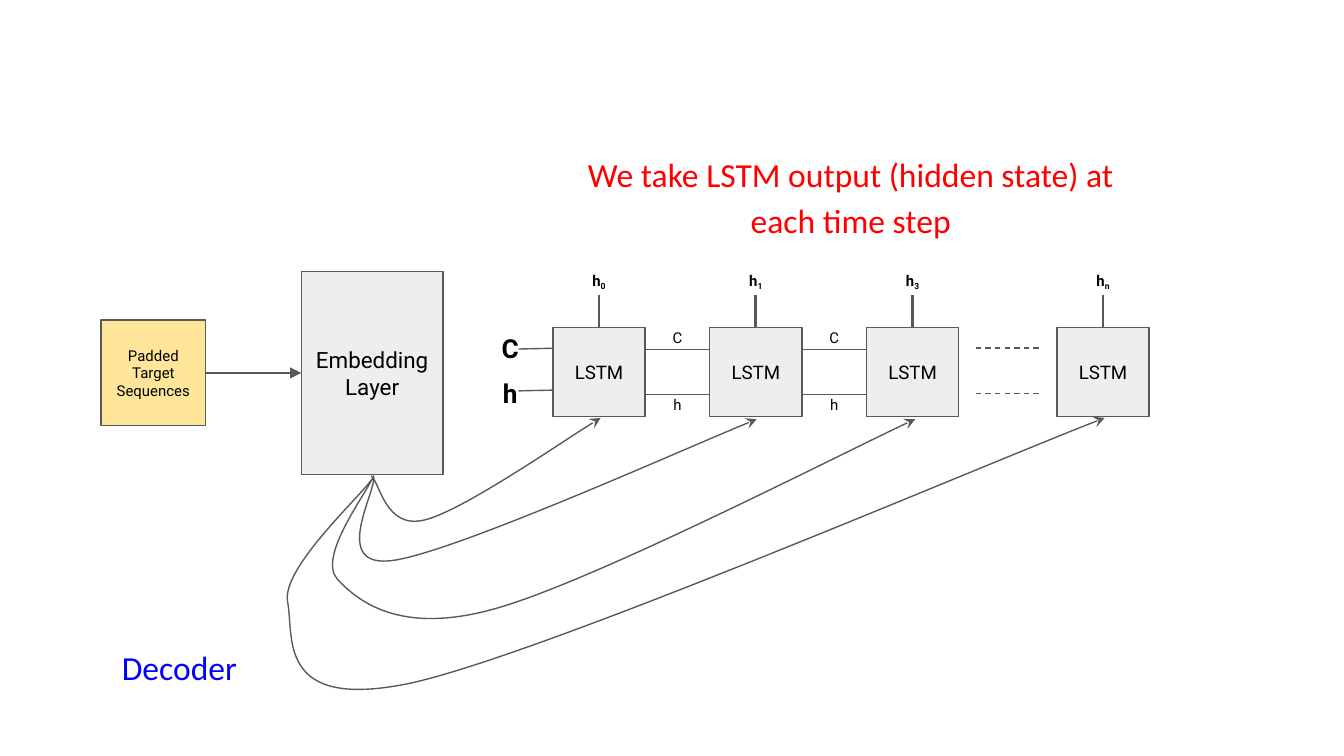
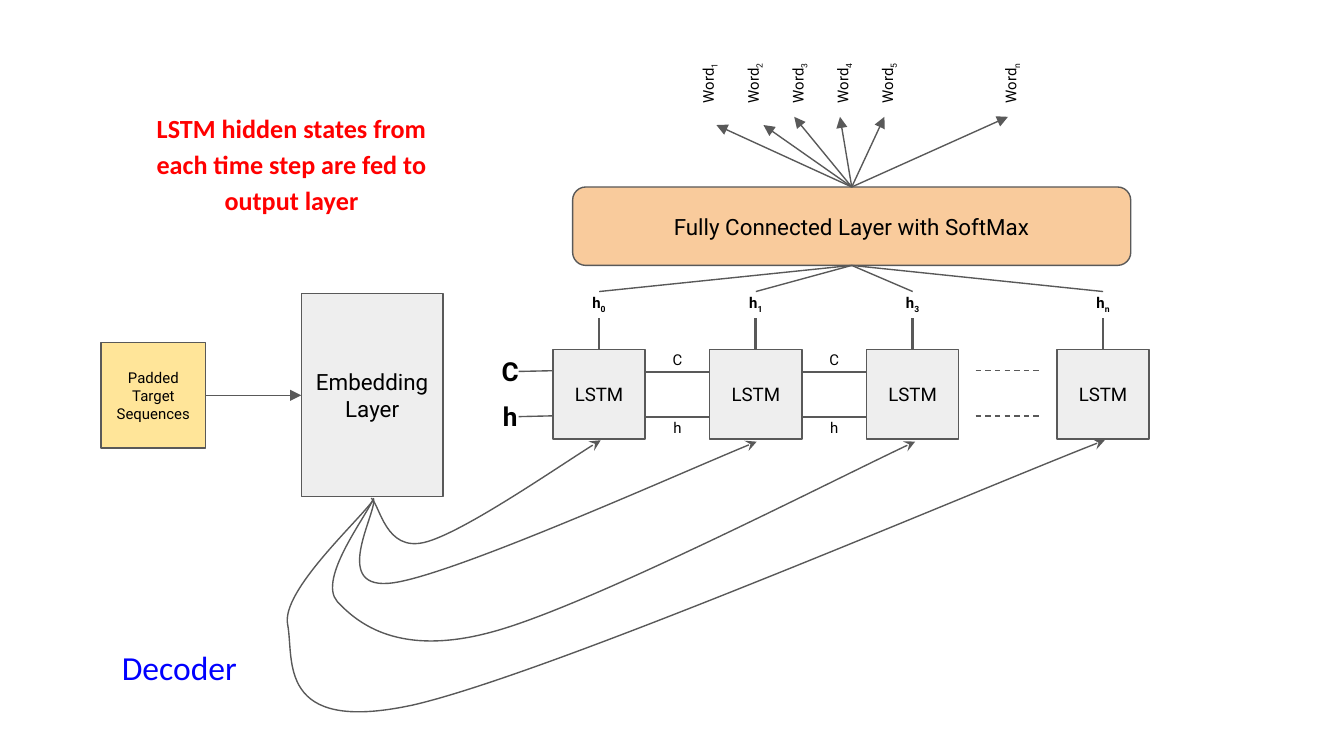
"""Build two slides on how an LSTM decoder feeds its output layer."""
from dataclasses import dataclass
from typing import NamedTuple, Optional

from lxml import etree
from pptx import Presentation
from pptx.dml.color import RGBColor
from pptx.enum import dml, shapes, text
from pptx.oxml import ns
from pptx.util import Pt


@dataclass(frozen=True)
class Theme:
    """Colours, fonts and sizes shared by both slides."""
    ink: str = "000000"
    stroke: str = "595959"
    layer: str = "EEEEEE"
    inputs: str = "FFE599"
    output: str = "F9CB9C"
    note: str = "FF0000"
    decoder: str = "0000FF"
    diagram_font: str = "Roboto"
    caption_font: str = "Calibri"
    small: float = 8
    cell: float = 10
    layer_size: float = 12
    state: float = 14
    caption: float = 18
    thin: float = 0.75
    thick: float = 1.5
    inset: float = 7.2


class Box(NamedTuple):
    """Left, top, width and height in points."""
    left: float
    top: float
    width: float
    height: float

    def down(self, shift: float) -> "Box":
        """Return the box moved down."""
        return self._replace(top=self.top + shift)


class Point(NamedTuple):
    """A place on the slide in points."""
    x: float
    y: float


class Curve(NamedTuple):
    """A chain of cubic segments given as a start and control points."""
    start: tuple
    controls: tuple


class Word(NamedTuple):
    """An output word with its text position and arrow tip."""
    index: str
    left: float
    tip: Point


class Scene(NamedTuple):
    """What differs between the two slides."""
    note: str
    note_box: Box
    note_size: float
    note_bold: bool
    shift: float
    lead_h: float
    has_output: bool


THEME = Theme()
LABEL_W, LABEL_H = 29.6, 13
LSTM_W, LSTM_H, LSTM_TOP = 49.5, 47.8, 175.4
LSTM_LEFTS = [296.2 + 84 * step for step in range(3)] + [566.2]
HIDDEN_INDEXES = ("0", "1", "3", "n")
PADDED = Box(54.2, 171.5, 56, 56.6)
EMBEDDING = Box(161.4, 145.4, 76, 108.8)
SOFTMAX = Box(306.8, 100.2, 299, 42)
CURVES = (
    Curve((198.9, 254.9), ((203.8, 259.2), (206.6, 283.7), (227.5, 278.6),
                           (247.7, 273.6), (306, 233.3), (321.8, 223.9))),
    Curve((200.2, 255.6), ((201.6, 263.5), (176.4, 305.3), (211, 300.2),
                           (244.8, 295.2), (373, 237.6), (405.4, 224.6))),
    Curve((200.2, 254.9), ((196.6, 264.2), (169.9, 298.1), (180.7, 310.3),
                           (191.5, 321.8), (213.8, 340.6), (265, 326.2),
                           (316.8, 311.8), (452.9, 241.9), (490.3, 224.6))),
    Curve((200.2, 255.6), ((192.2, 267.1), (150.5, 304.6), (154.1, 322.6),
                           (157.7, 341.3), (147.6, 381.6), (221, 365.8),
                           (293.8, 349.2), (529.9, 247.7), (591.8, 223.9))),
)
WORD_TIPS = (Point(383.8, 67), Point(409, 67), Point(425.5, 62.6),
             Point(450, 62.6), Point(473.8, 62.6))
WORDS = [Word(str(i + 1), 358.6 + 24 * i, tip) for i, tip in enumerate(WORD_TIPS)]
WORDS.append(Word("n", 520.6, Point(540, 62.6)))
SCENES = (
    Scene("We take LSTM output (hidden state) at each time step",
          Box(290.9, 71.3, 329.8, 65.5), THEME.caption, False, 0, 209.2, False),
    Scene("LSTM hidden states from each time step are fed to output layer",
          Box(67.7, 43.2, 177, 87.1), THEME.state, True, 12, 211, True),
)


def write(shape, words: str, *, size: float, font: str = THEME.diagram_font,
          colour: str = THEME.ink, bold: bool = False, subscript: str = "",
          align=text.PP_ALIGN.CENTER, anchor=text.MSO_ANCHOR.MIDDLE,
          spacing: Optional[float] = None) -> None:
    """Write one formatted paragraph, with an optional subscript, into a shape."""
    frame = shape.text_frame
    frame.word_wrap = True
    frame.vertical_anchor = anchor
    frame.margin_left = frame.margin_right = Pt(THEME.inset)
    frame.margin_top = frame.margin_bottom = Pt(THEME.inset)
    paragraph = frame.paragraphs[0]
    paragraph.alignment = align
    if spacing:
        paragraph.line_spacing = spacing
    for part in filter(None, (words, subscript)):
        run = paragraph.add_run()
        run.text = part
        run.font.name, run.font.size, run.font.bold = font, Pt(size), bold
        run.font.color.rgb = RGBColor.from_string(colour)
    if subscript:
        run._r.get_or_add_rPr().set("baseline", "-25000")


def add_label(slide, box: Box, words: str, *, rotation: float = 0, **style):
    """Add a text box and return it."""
    label = slide.shapes.add_textbox(*map(Pt, box))
    label.rotation = rotation
    write(label, words, **style)
    return label


def set_stroke(line, width: float = THEME.thin, arrow: str = "", dashed: bool = False) -> None:
    """Style an outline or connector line."""
    line.color.rgb = RGBColor.from_string(THEME.stroke)
    line.width = Pt(width)
    if dashed:
        line.dash_style = dml.MSO_LINE.DASH
    if arrow:
        etree.SubElement(line._get_or_add_ln(), ns.qn("a:tailEnd"), type=arrow)


def add_block(slide, box: Box, words: str, fill: str, size: float,
              kind=shapes.MSO_SHAPE.RECTANGLE):
    """Add a filled, labelled block and return it."""
    block = slide.shapes.add_shape(kind, *map(Pt, box))
    block.shadow.inherit = False
    block.fill.solid()
    block.fill.fore_color.rgb = RGBColor.from_string(fill)
    set_stroke(block.line)
    write(block, words, size=size)
    return block


def add_link(slide, start: Point, end: Point, *, begin=None, finish=None, **stroke) -> None:
    """Add a straight connector, joined to (shape, side) pairs when given."""
    link = slide.shapes.add_connector(
        shapes.MSO_CONNECTOR.STRAIGHT, *map(Pt, (*start, *end)))
    if begin:
        link.begin_connect(*begin)
    if finish:
        link.end_connect(*finish)
    set_stroke(link.line, **stroke)
    etree.SubElement(link._element.spPr, ns.qn("a:effectLst"))


def bezier(points, t: float) -> tuple:
    """Return the point at t on a cubic segment."""
    weights = ((1 - t) ** 3, 3 * t * (1 - t) ** 2, 3 * t * t * (1 - t), t ** 3)
    return tuple(round(sum(w * p[axis] for w, p in zip(weights, points)))
                 for axis in (0, 1))


def add_curve(slide, curve: Curve, shift: float) -> None:
    """Add a curved arrow whose frame hugs its cubic segments."""
    nodes = [(Pt(x), Pt(y + shift)) for x, y in (curve.start, *curve.controls)]
    segments = [nodes[i:i + 4] for i in range(0, len(nodes) - 1, 3)]
    builder = slide.shapes.build_freeform(*nodes[0], scale=1.0)
    builder.add_line_segments(
        [bezier(segment, step / 24) for segment in segments for step in range(1, 25)],
        close=False)
    arrow = builder.convert_to_shape()
    outline = arrow._element.xpath(".//a:path")[0]
    for straight in outline.findall(ns.qn("a:lnTo")):
        outline.remove(straight)
    for segment in segments:
        cubic = etree.SubElement(outline, ns.qn("a:cubicBezTo"))
        for x, y in segment[1:]:
            etree.SubElement(cubic, ns.qn("a:pt"),
                             x=str(x - arrow.left), y=str(y - arrow.top))
    arrow.shadow.inherit = False
    arrow.fill.background()
    set_stroke(arrow.line, arrow="stealth")


def add_chain(slide, shift: float) -> list:
    """Draw the LSTM cells with their links and return the hidden state labels."""
    cells = [add_block(slide, Box(left, LSTM_TOP + shift, LSTM_W, LSTM_H),
                       "LSTM", THEME.layer, THEME.cell) for left in LSTM_LEFTS]
    for left, following in zip(LSTM_LEFTS[:2], LSTM_LEFTS[1:]):
        right = left + LSTM_W
        label_left = (right + following - LABEL_W) / 2
        for state, link_y, label_top in (("C", 187.4, 174.3), ("h", 211.4, 210.3)):
            add_link(slide, Point(right, link_y + shift), Point(following, link_y + shift))
            add_label(slide, Box(label_left, label_top + shift, LABEL_W, LABEL_H),
                      state, size=THEME.small)
    for y in (186.5, 210.8):
        add_link(slide, Point(522.7, y + shift), Point(557.3, y + shift), dashed=True)
    hidden = []
    for cell, left, index in zip(cells, LSTM_LEFTS, HIDDEN_INDEXES):
        middle = left + LSTM_W / 2
        add_link(slide, Point(middle, LSTM_TOP + shift), Point(middle, 158.2 + shift),
                 begin=(cell, 0), width=THEME.thick)
        hidden.append(add_label(
            slide, Box(middle - LABEL_W / 2, 144.2 + shift, LABEL_W, LABEL_H),
            "h", subscript=index, size=THEME.small, bold=True))
    return hidden


def add_output(slide, hidden: list) -> None:
    """Draw the softmax layer, its words and the lines from hidden states."""
    softmax = add_block(slide, SOFTMAX, "Fully Connected Layer with SoftMax",
                        THEME.output, THEME.layer_size, shapes.MSO_SHAPE.ROUNDED_RECTANGLE)
    middle = SOFTMAX.left + SOFTMAX.width / 2
    for word in WORDS:
        add_label(slide, Box(word.left, 34.6, 38.2, 17.3), "Word", subscript=word.index,
                  size=THEME.small, rotation=270, align=text.PP_ALIGN.LEFT,
                  anchor=text.MSO_ANCHOR.TOP)
        add_link(slide, Point(middle, SOFTMAX.top), word.tip,
                 begin=(softmax, 0), arrow="triangle")
    bottom = Point(middle, SOFTMAX.top + SOFTMAX.height)
    for label in hidden:
        add_link(slide, bottom, bottom, begin=(label, 0), finish=(softmax, 2))


def add_scene(deck, scene: Scene) -> None:
    """Draw one decoder slide."""
    slide = deck.slides.add_slide(deck.slide_layouts[6])
    shift = scene.shift
    padded = add_block(slide, PADDED.down(shift), "Padded Target Sequences",
                       THEME.inputs, THEME.small)
    embedding = add_block(slide, EMBEDDING.down(shift), "Embedding Layer",
                          THEME.layer, THEME.layer_size)
    add_link(slide, Point(110.2, 199.8 + shift), Point(161.4, 199.8 + shift),
             begin=(padded, 3), finish=(embedding, 1), arrow="triangle")
    hidden = add_chain(slide, shift)
    for curve in CURVES:
        add_curve(slide, curve, shift)
    if scene.has_output:
        add_output(slide, hidden)
    for state, top, lead_y in (("C", 180.1, 186.8), ("h", 204.2, scene.lead_h)):
        add_label(slide, Box(258.5, top + shift, LABEL_W, LABEL_H), state,
                  size=THEME.state, bold=True)
        add_link(slide, Point(277.9, lead_y + 0.2 + shift),
                 Point(LSTM_LEFTS[0], lead_y - 0.2 + shift))
    add_label(slide, scene.note_box, scene.note, size=scene.note_size, bold=scene.note_bold,
              font=THEME.caption_font, colour=THEME.note, spacing=1.15)
    add_label(slide, Box(15.1, 339.1, 162, 36.7), "Decoder", size=THEME.caption,
              font=THEME.caption_font, colour=THEME.decoder, anchor=text.MSO_ANCHOR.TOP)


def main() -> None:
    """Build and save the deck."""
    deck = Presentation()
    deck.slide_width, deck.slide_height = Pt(720), Pt(405)
    for scene in SCENES:
        add_scene(deck, scene)
    deck.save("out.pptx")


if __name__ == "__main__":
    main()
